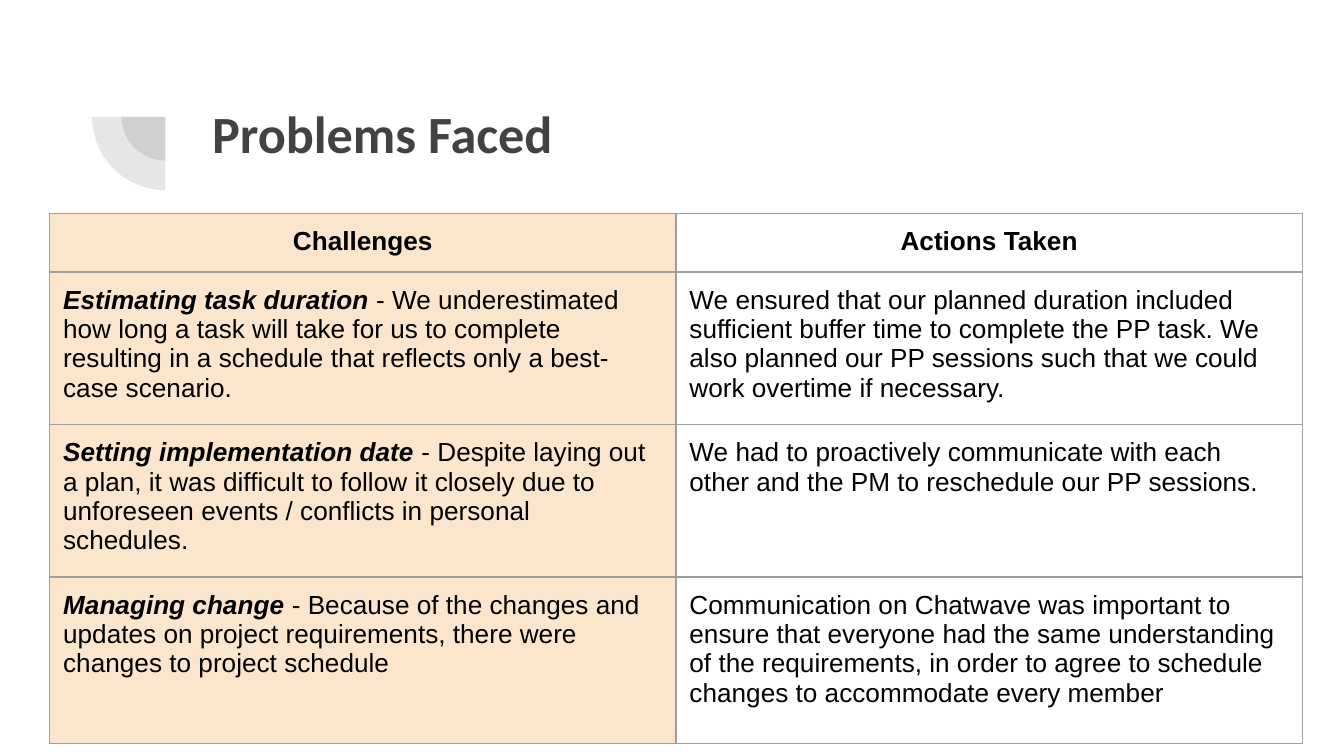
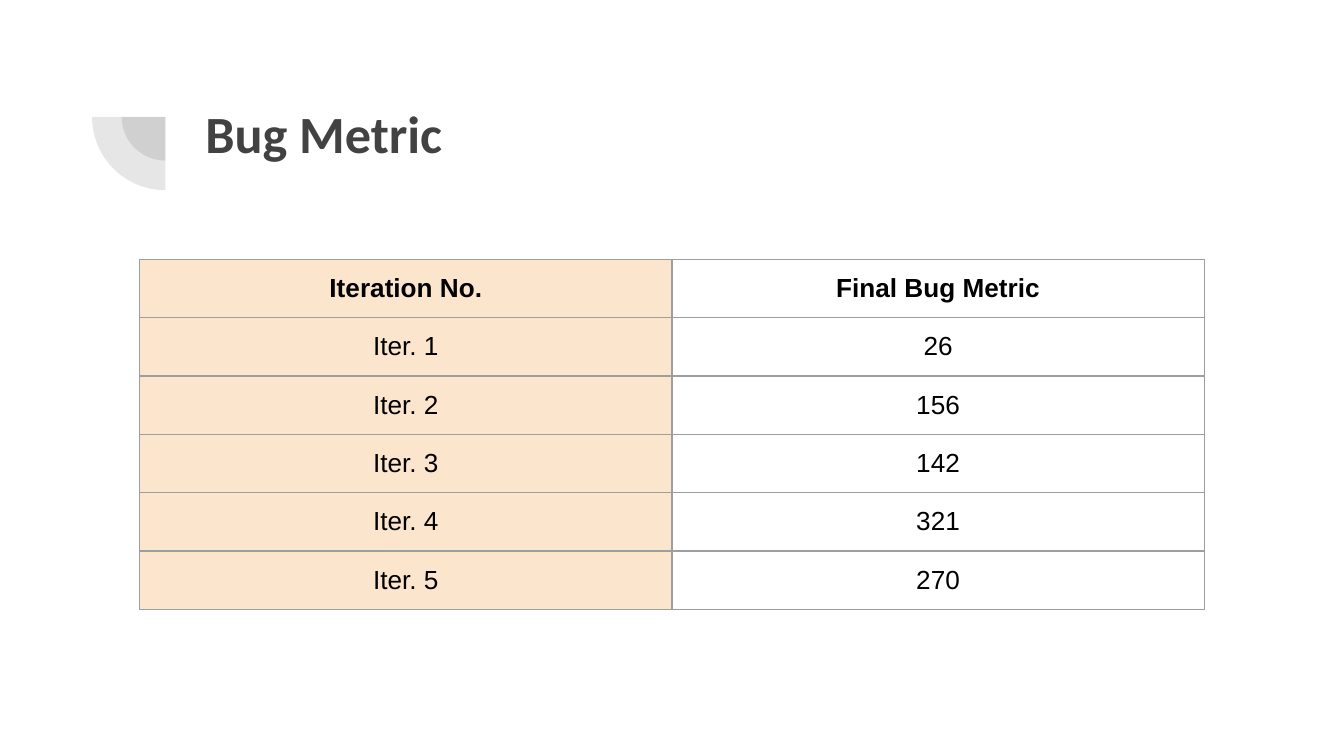
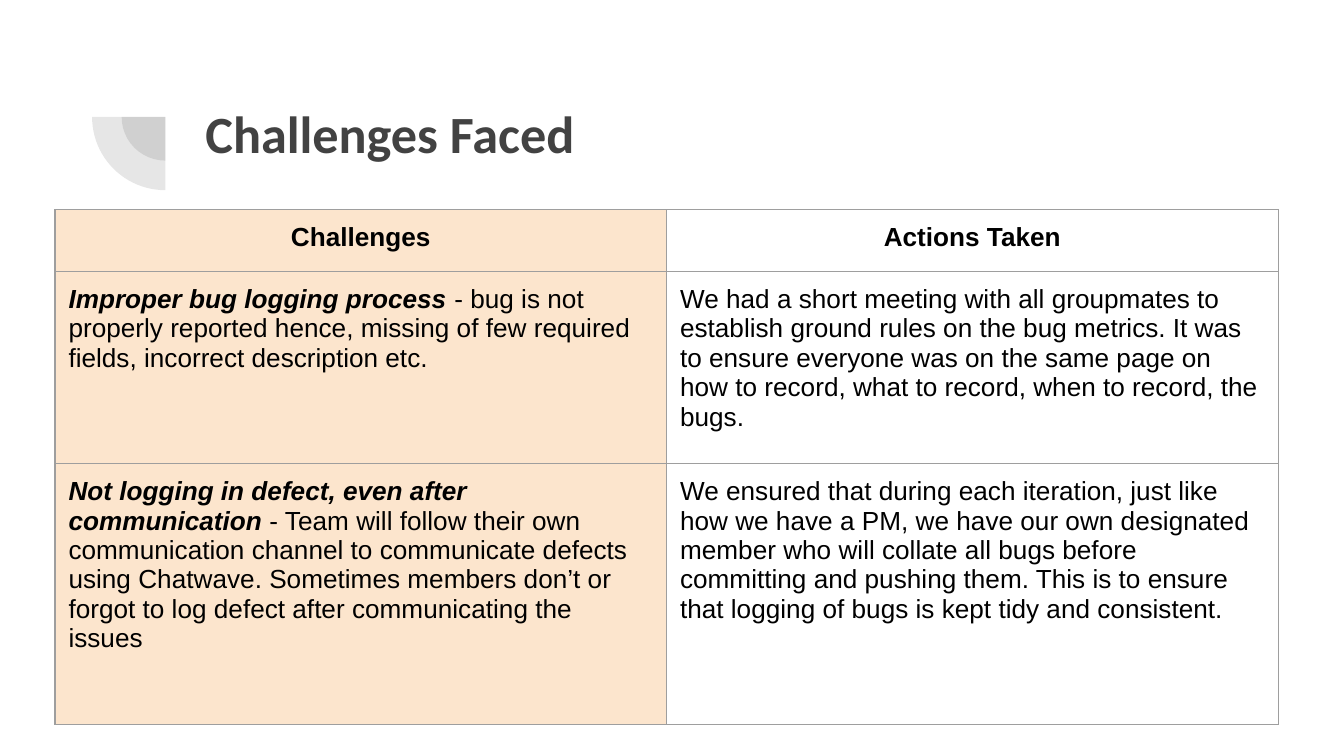
from dataclasses import dataclass

from lxml.etree import SubElement
from pptx import Presentation
from pptx.dml.color import RGBColor
from pptx.enum.shapes import MSO_SHAPE
from pptx.enum.text import MSO_ANCHOR, PP_ALIGN
from pptx.oxml.ns import qn
from pptx.util import Inches, Pt


@dataclass(frozen=True)
class Theme:
    paper: str = "FFFFFF"
    ink: str = "000000"
    heading: str = "424242"
    accent: str = "FCE5CD"
    rule: str = "9E9E9E"
    heading_font: str = "Calibri"
    body_font: str = "Arial"
    heading_size: int = 28
    body_size: int = 14
    rule_width: float = 0.75
    inset: float = 0.1
    ornament_opacity: int = 13


THEME = Theme()
WIDTH = 10
HEIGHT = WIDTH * 9 / 16
TITLE_TOP, TITLE_WIDTH, TITLE_HEIGHT = 0.65, 7.69, 1.09
ORNAMENT_CENTER = (1.23, 0.87)
ORNAMENT_DIAMETERS = (0.65, 1.09)
QUARTER = (107.928, 162)

# Content: a pair inside a row is an emphasised lead and the text after it
DECK = [
    {
        "title": "Problems Faced", "title_left": 1.48,
        "origin": (0.37, 1.59), "column": 4.66,
        "heights": [0.43, 1.11, 0.88, 1.24], "centered": False,
        "rows": [
            ("Challenges", "Actions Taken"),
            (("Estimating task duration",
              " - We underestimated how long a task will take for us to complete "
              "resulting in a schedule that reflects only a best-case scenario."),
             "We ensured that our planned duration included sufficient buffer time to "
             "complete the PP task. We also planned our PP sessions such that we could "
             "work overtime if necessary."),
            (("Setting implementation date ",
              "- Despite laying out a plan, it was difficult to follow it closely due "
              "to unforeseen events / conflicts in personal schedules."),
             "We had to proactively communicate with each other and the PM to "
             "reschedule our PP sessions."),
            (("Managing change ",
              "- Because of the changes and updates on project requirements, there "
              "were changes to project schedule"),
             "Communication on Chatwave was important to ensure that everyone had the "
             "same understanding of the requirements, in order to agree to schedule "
             "changes to accommodate every member"),
        ],
    },
    {
        "title": "Bug Metric", "title_left": 1.43,
        "origin": (1.04, 1.93), "column": 3.96,
        "heights": [0.42] * 6, "centered": True,
        "rows": [
            ("Iteration No.", "Final Bug Metric"),
            ("Iter. 1", "26"),
            ("Iter. 2", "156"),
            ("Iter. 3", "142"),
            ("Iter. 4", "321"),
            ("Iter. 5", "270"),
        ],
    },
    {
        "title": "Challenges Faced", "title_left": 1.43,
        "origin": (0.41, 1.56), "column": 4.55,
        "heights": [0.46, 1.43, 1.94], "centered": False,
        "rows": [
            ("Challenges", "Actions Taken"),
            (("Improper bug logging process",
              " - bug is not properly reported hence, missing of few required fields, "
              "incorrect description etc."),
             "We had a short meeting with all groupmates to establish ground rules on "
             "the bug metrics. It was to ensure everyone was on the same page on how to "
             "record, what to record, when to record, the bugs."),
            (("Not logging in defect, even after communication ",
              "- Team will follow their own communication channel to communicate "
              "defects using Chatwave. Sometimes members don’t or forgot to log defect "
              "after communicating the issues"),
             "We ensured that during each iteration, just like how we have a PM, we "
             "have our own designated member who will collate all bugs before "
             "committing and pushing them. This is to ensure that logging of bugs is "
             "kept tidy and consistent."),
        ],
    },
]


def write(paragraph, text, *, font=THEME.body_font, size=THEME.body_size,
          color=THEME.ink, bold=False, italic=False, align=PP_ALIGN.LEFT):
    paragraph.alignment = align
    run = paragraph.add_run()
    run.text = text
    run.font.name, run.font.size = font, Pt(size)
    run.font.bold, run.font.italic = bold, italic
    run.font.color.rgb = RGBColor.from_string(color)


def set_insets(box):
    box.margin_left = box.margin_right = Inches(THEME.inset)
    box.margin_top = box.margin_bottom = Inches(THEME.inset)


# Ornament: two concentric quarter discs
def add_ornament(slide):
    center_x, center_y = ORNAMENT_CENTER
    for diameter in ORNAMENT_DIAMETERS:
        disc = slide.shapes.add_shape(
            MSO_SHAPE.PIE, Inches(center_x - diameter / 2),
            Inches(center_y - diameter / 2), Inches(diameter), Inches(diameter))
        disc.adjustments[0], disc.adjustments[1] = QUARTER
        disc.rotation = 270
        disc.shadow.inherit = False
        disc.line.fill.background()
        disc.fill.solid()
        disc.fill.fore_color.rgb = RGBColor.from_string(THEME.heading)
        tint = disc.fill._xPr.find(qn("a:solidFill")).find(qn("a:srgbClr"))
        SubElement(tint, qn("a:alpha"), val=str(THEME.ornament_opacity * 1000))


def add_title(slide, title, left):
    frame = slide.shapes.add_textbox(
        Inches(left), Inches(TITLE_TOP), Inches(TITLE_WIDTH),
        Inches(TITLE_HEIGHT)).text_frame
    frame.word_wrap = True
    set_insets(frame)
    write(frame.paragraphs[0], title, font=THEME.heading_font,
          size=THEME.heading_size, color=THEME.heading, bold=True)


def style_cell(cell, fill):
    set_insets(cell)
    properties = cell._tc.get_or_add_tcPr()
    for side in ("lnL", "lnR", "lnT", "lnB"):
        border = SubElement(properties, qn(f"a:{side}"),
                            w=str(Pt(THEME.rule_width)))
        SubElement(SubElement(border, qn("a:solidFill")),
                   qn("a:srgbClr"), val=THEME.rule)
    cell.fill.solid()
    cell.fill.fore_color.rgb = RGBColor.from_string(fill)


def add_grid(slide, rows, origin, column, heights, centered):
    left, top = origin
    columns = len(rows[0])
    grid = slide.shapes.add_table(
        len(rows), columns, Inches(left), Inches(top),
        Inches(column * columns), Inches(sum(heights))).table
    grid.first_row = grid.horz_banding = False
    for r, (row, height) in enumerate(zip(rows, heights)):
        grid.rows[r].height = Inches(height)
        header = r == 0
        align = PP_ALIGN.CENTER if header or centered else PP_ALIGN.LEFT
        for c, entry in enumerate(row):
            cell = grid.cell(r, c)
            style_cell(cell, THEME.paper if c else THEME.accent)
            cell.vertical_anchor = MSO_ANCHOR.MIDDLE if centered else MSO_ANCHOR.TOP
            lead, body = entry if isinstance(entry, tuple) else ("", entry)
            paragraph = cell.text_frame.paragraphs[0]
            if lead:
                write(paragraph, lead, bold=True, italic=True, align=align)
            write(paragraph, body, bold=header, align=align)
            # The end mark would otherwise keep 18 points and stretch the row
            SubElement(paragraph._p, qn("a:endParaRPr"),
                       sz=str(THEME.body_size * 100))


def main():
    deck = Presentation()
    deck.slide_width, deck.slide_height = Inches(WIDTH), Inches(HEIGHT)
    for page in DECK:
        slide = deck.slides.add_slide(deck.slide_layouts[6])
        slide.background.fill.solid()
        slide.background.fill.fore_color.rgb = RGBColor.from_string(THEME.paper)
        add_ornament(slide)
        add_title(slide, page["title"], page["title_left"])
        add_grid(slide, page["rows"], page["origin"], page["column"],
                 page["heights"], page["centered"])
    deck.save("out.pptx")


if __name__ == "__main__":
    main()
